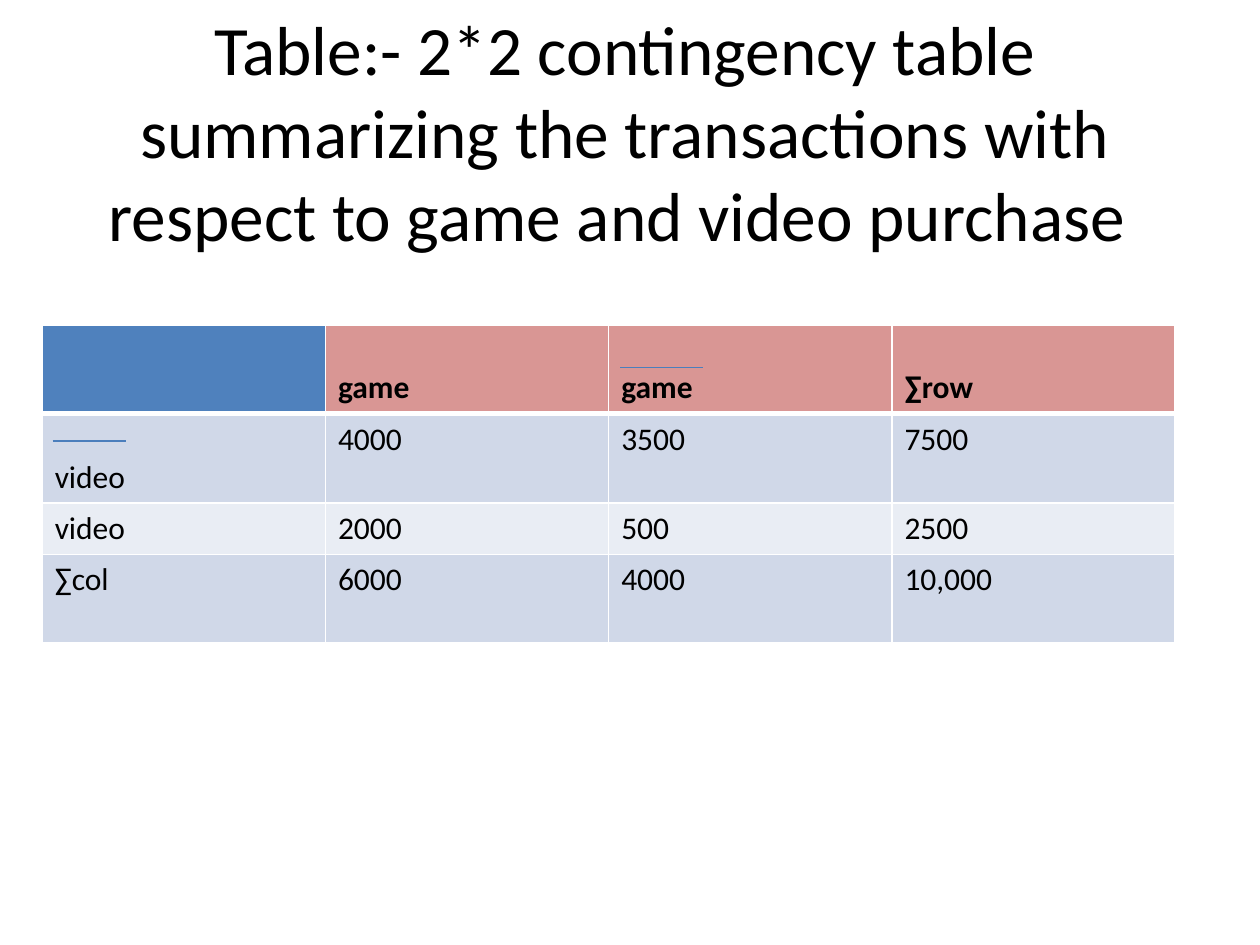
from lxml.etree import SubElement
from pptx import Presentation
from pptx.dml.color import RGBColor
from pptx.enum.shapes import MSO_CONNECTOR as Connector
from pptx.enum.text import MSO_ANCHOR as Anchor, PP_ALIGN as Align
from pptx.oxml.ns import qn
from pptx.util import Cm, Pt

# Content
TITLE = ("Table:- 2*2 contingency table summarizing the transactions "
         "with respect to game and video purchase ")
ROWS = [
    ("", "game", "game", "∑row"),
    ("video", "4000", "3500", "7500"),
    ("video", "2000", "500", "2500"),
    ("∑col", "6000", "4000", "10,000"),
]
LOW_CELLS = {(0, 1), (0, 2), (0, 3), (1, 0)}  # text sits at the cell bottom

# Look
FONT = "Calibri"
COLORS = {"text": "000000", "corner": "4F81BD", "header": "D99694",
          "odd": "D0D8E8", "even": "E9EDF4", "border": "FFFFFF",
          "bar": "4B7EBC"}
LEFT, TOP, COLUMN_WIDTH = 0.85, 6.56, 5.71
ROW_HEIGHTS = (1.78, 1.8, 1.04, 1.78)
# Negation bars above "video" and "game": left, right, height on the slide
BARS = [(1.06, 2.54, 8.89), (12.5, 14.18, 7.41)]


def rgb(name):
    return RGBColor.from_string(COLORS[name])


def add_run(paragraph, text, size, bold=False):
    run = paragraph.add_run()
    run.text = text
    run.font.name, run.font.size, run.font.bold = FONT, Pt(size), bold
    run.font.color.rgb = rgb("text")


def fill_name(row, column):
    if row == 0:
        return "header" if column else "corner"
    return "odd" if row % 2 else "even"


def add_borders(cell, row):
    thick = {0: "lnB", 1: "lnT"}.get(row)
    properties = cell._tc.get_or_add_tcPr()
    for side in ("lnL", "lnR", "lnT", "lnB"):
        width = Pt(3 if side == thick else 1)
        line = SubElement(properties, qn(f"a:{side}"), w=str(width))
        fill = SubElement(line, qn("a:solidFill"))
        SubElement(fill, qn("a:srgbClr"), val=COLORS["border"])


presentation = Presentation()
presentation.slide_width, presentation.slide_height = Cm(25.4), Cm(19.05)
slide = presentation.slides.add_slide(presentation.slide_layouts[6])

# Title
title = slide.shapes.add_textbox(Cm(1.27), Cm(0), Cm(22.66), Cm(5.28))
frame = title.text_frame
frame.word_wrap = True
frame.vertical_anchor = Anchor.MIDDLE
frame.paragraphs[0].alignment = Align.CENTER
add_run(frame.paragraphs[0], TITLE, 39.6)

# Contingency table
column_count = len(ROWS[0])
table = slide.shapes.add_table(
    len(ROWS), column_count, Cm(LEFT), Cm(TOP),
    Cm(COLUMN_WIDTH * column_count), Cm(sum(ROW_HEIGHTS))).table
for column in table.columns:
    column.width = Cm(COLUMN_WIDTH)
for row, (texts, height) in enumerate(zip(ROWS, ROW_HEIGHTS)):
    table.rows[row].height = Cm(height)
    for column, text in enumerate(texts):
        cell = table.cell(row, column)
        add_borders(cell, row)
        cell.fill.solid()
        cell.fill.fore_color.rgb = rgb(fill_name(row, column))
        low = (row, column) in LOW_CELLS
        cell.vertical_anchor = Anchor.BOTTOM if low else Anchor.TOP
        if text:
            add_run(cell.text_frame.paragraphs[0], text, 18, bold=row == 0)

# Negation bars
for left, right, height in BARS:
    bar = slide.shapes.add_connector(
        Connector.STRAIGHT, Cm(left), Cm(height), Cm(right), Cm(height))
    bar.line.color.rgb = rgb("bar")
    bar.line.width = Pt(0.75)
    SubElement(bar._element.spPr, qn("a:effectLst"))

presentation.save("out.pptx")
